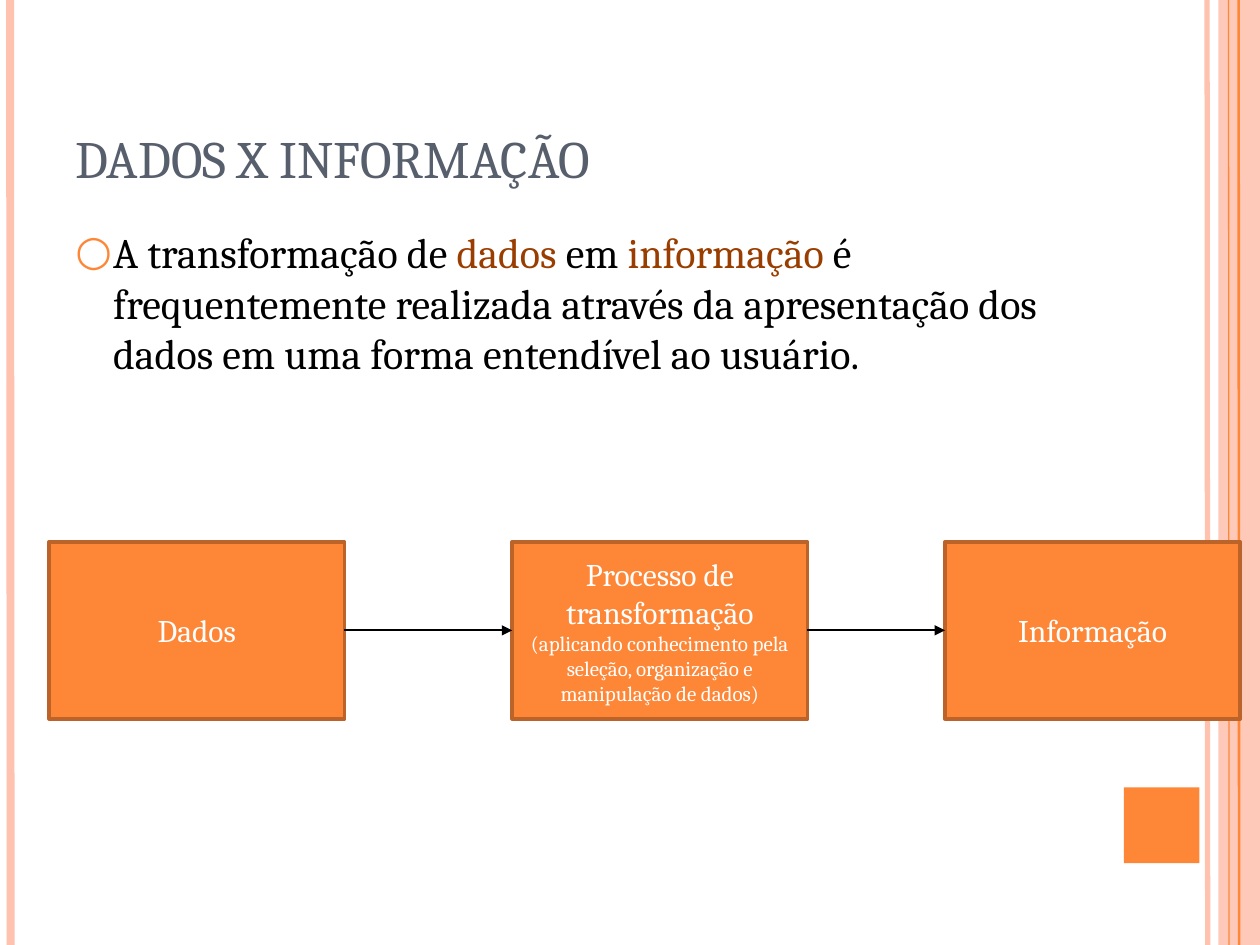
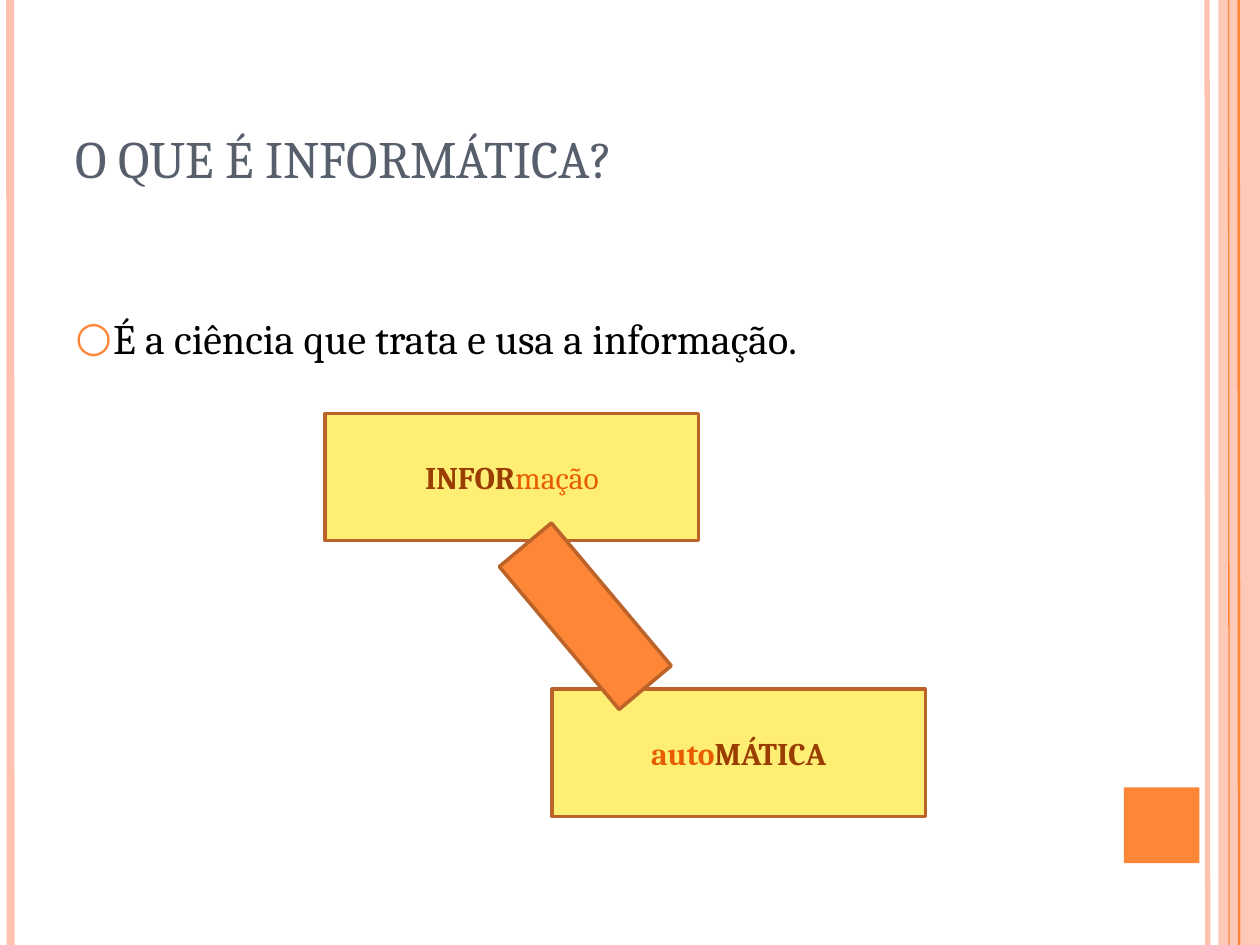
import pptx
import pptx.util
import pptx.dml.color
import pptx.enum.shapes
import pptx.enum.text
import pptx.oxml
import pptx.oxml.ns

COLORS = {
    "peach": "FEC2AE", "orange": "FE8637", "edge": "BB6328", "yellow": "FFEE74",
    "title": "575F6D", "brown": "9A3D01", "rust": "E75C01",
    "black": "000000", "white": "FFFFFF",
}
FONT = "Cambria"
RGB = pptx.dml.color.RGBColor.from_string
ANCHOR = pptx.enum.text.MSO_ANCHOR
RECTANGLE = pptx.enum.shapes.MSO_SHAPE.RECTANGLE
STRAIGHT = pptx.enum.shapes.MSO_CONNECTOR.STRAIGHT

deck = pptx.Presentation()
deck.slide_width = pptx.util.Inches(10)
deck.slide_height = pptx.util.Inches(7.5)
# The grid has 100 columns and 75 rows
column = deck.slide_width / 100
row = deck.slide_height / 75


def add_box(page, left, top, width, height, fill=None, edge=None):
    """Place a box on the grid: a text box without fill, else a rectangle."""
    place = [int(left * column), int(top * row), int(width * column), int(height * row)]
    if fill is None:
        box = page.shapes.add_textbox(*place)
    else:
        box = page.shapes.add_shape(RECTANGLE, *place)
        box.shadow.inherit = False
        box.fill.solid()
        box.fill.fore_color.rgb = RGB(COLORS[fill])
        if edge:
            box.line.color.rgb = RGB(COLORS[edge])
            box.line.width = pptx.util.Pt(2)
        else:
            box.line.fill.background()
        box.text_frame.vertical_anchor = ANCHOR.MIDDLE
        box.text_frame.paragraphs[0].alignment = pptx.enum.text.PP_ALIGN.CENTER
    box.text_frame.word_wrap = True
    return box


def add_spans(box, spans):
    """Write (text, size, color, bold) runs into the first paragraph."""
    para = box.text_frame.paragraphs[0]
    for text, size, color, bold in spans:
        span = para.add_run()
        span.text = text
        span.font.name = FONT
        span.font.size = pptx.util.Pt(size)
        span.font.bold = bold
        span.font.color.rgb = RGB(COLORS[color])


# What each page says: title, top row of the body, body runs
contents = [
    ("DADOS X INFORMAÇÃO", 17.5, [
        ("A transformação de ", "black"), ("dados", "brown"), (" em ", "black"),
        ("informação", "brown"),
        (" é frequentemente realizada através da apresentação dos dados "
         "em uma forma entendível ao usuário.", "black")]),
    ("O QUE É INFORMÁTICA?", 24.3, [
        ("É a ciência que trata e usa a informação.", "black")]),
]
# Vertical rules: column, color, weight
rules = [(95.8, "peach", 3), (0.8, "peach", 4.5), (98.3, "orange", 1.5), (97.5, "orange", 0.75)]

# Shared frame, title and body
pages = []
lines = []
for title, body_top, body in contents:
    page = deck.slides.add_slide(deck.slide_layouts[6])
    pages.append(page)

    band = add_box(page, 96.7, 0, 3.3, 75, "peach")
    solid = band.fill._xPr.find(pptx.oxml.ns.qn("a:solidFill"))
    solid[0].append(pptx.oxml.parse_xml(
        f'<a:alpha {pptx.oxml.ns.nsdecls("a")} val="87000"/>'))
    for left, color, weight in rules:
        rule = page.shapes.add_connector(
            STRAIGHT, int(left * column), 0, int((left + 0.05) * column), deck.slide_height)
        rule.line.color.rgb = RGB(COLORS[color])
        rule.line.width = pptx.util.Pt(weight)
        lines.append(rule)
    add_box(page, 89.2, 62.5, 6, 6, "orange")

    heading = add_box(page, 5, 3, 81.7, 12.5)
    heading.text_frame.vertical_anchor = ANCHOR.BOTTOM
    add_spans(heading, [(title, 30, "title", False)])

    text_box = add_box(page, 5, body_top, 81.7, 70.8 - body_top)
    props = text_box.text_frame.paragraphs[0]._p.get_or_add_pPr()
    props.set("marL", str(int(3 * column)))
    props.set("indent", str(int(-3 * column)))
    for tag in (f'buClr><a:srgbClr val="{COLORS["orange"]}"/></a:buClr',
                f'buFont typeface="{FONT}"/', 'buChar char="○"/'):
        name, _, rest = tag.partition(" ") if tag.endswith("/") else tag.partition(">")
        joint = " " if tag.endswith("/") else ">"
        props.append(pptx.oxml.parse_xml(
            f'<a:{name} {pptx.oxml.ns.nsdecls("a")}{joint}{rest}>'))
    add_spans(text_box, [(text, 24, color, False) for text, color in body])

# Page 1: process flow from data to information
flow_page, word_page = pages
steps = [
    (3.9, [("Dados", 18)]),
    (40.65, [("Processo de transformação ", 18),
             ("(aplicando conhecimento pela seleção, organização e manipulação de dados)", 12)]),
    (75, [("Informação", 18)]),
]
step_boxes = []
for left, texts in steps:
    box = add_box(flow_page, left, 43, 23.44, 14.06, "orange", "edge")
    add_spans(box, [(text, size, "white", False) for text, size in texts])
    step_boxes.append(box)
for source, target in zip(step_boxes, step_boxes[1:]):
    arrow = flow_page.shapes.add_connector(STRAIGHT, 0, 0, 0, 0)
    arrow.begin_connect(source, 3)
    arrow.end_connect(target, 1)
    arrow.line.color.rgb = RGB(COLORS["black"])
    arrow.line.width = pptx.util.Pt(1)
    arrow.line._get_or_add_ln().append(pptx.oxml.parse_xml(
        f'<a:tailEnd {pptx.oxml.ns.nsdecls("a")} type="triangle"/>'))
    lines.append(arrow)

# Page 2: two words joined by a slanted bar
words = [
    (25.8, 32.8, [("INFOR", 18, "brown", True), ("mação", 18, "rust", False)]),
    (43.8, 54.7, [("auto", 18, "rust", True), ("MÁTICA", 18, "brown", True)]),
]
for left, top, spans in words:
    add_spans(add_box(word_page, left, top, 29.65, 10.1, "yellow", "edge"), spans)
bar = add_box(word_page, 43.75, 41.5, 5.4, 14.8, "orange", "edge")
bar.rotation = 320

# Lines carry no shadow
for line in lines:
    line._element.spPr.append(pptx.oxml.parse_xml(
        f'<a:effectLst {pptx.oxml.ns.nsdecls("a")}/>'))

deck.save("out.pptx")
